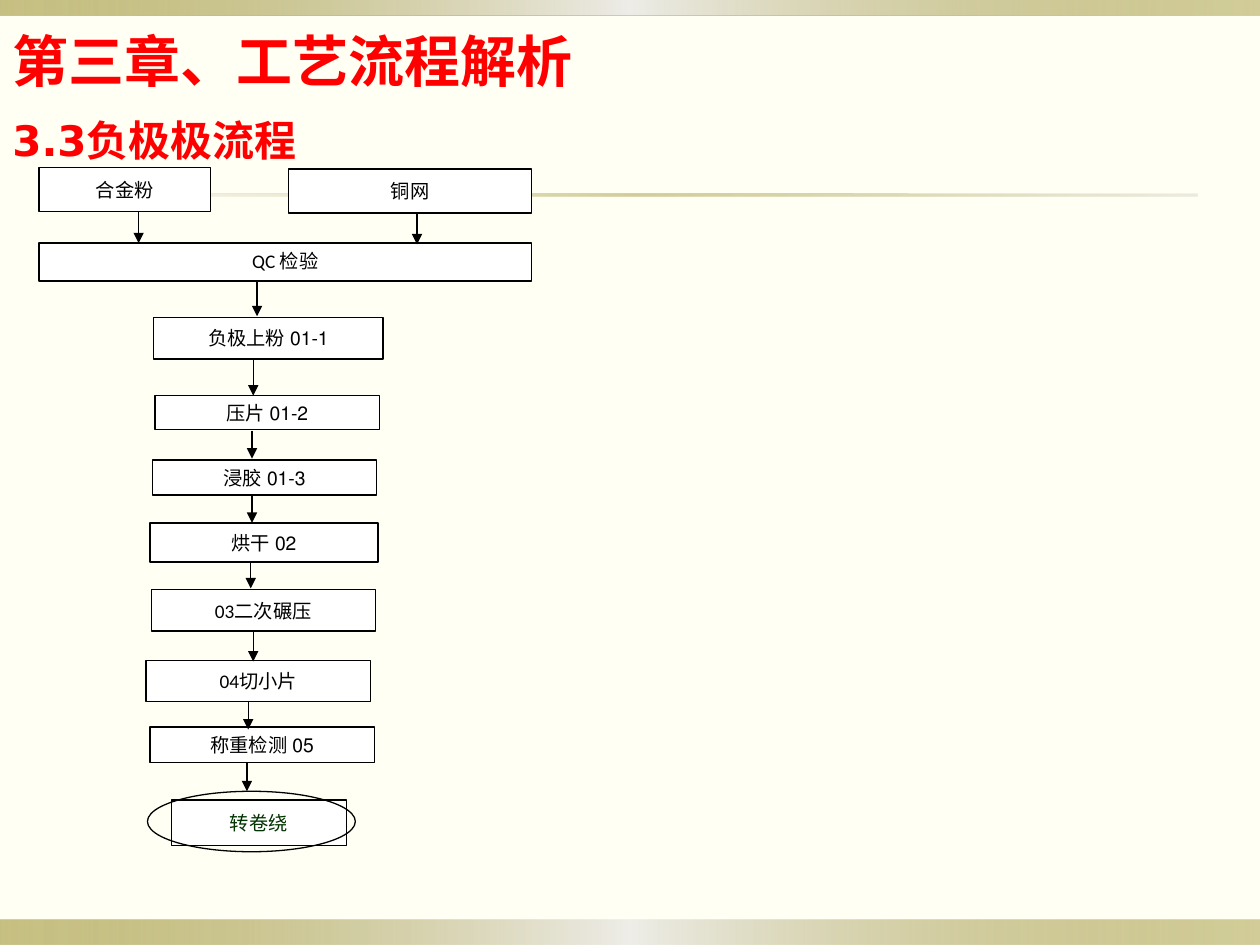
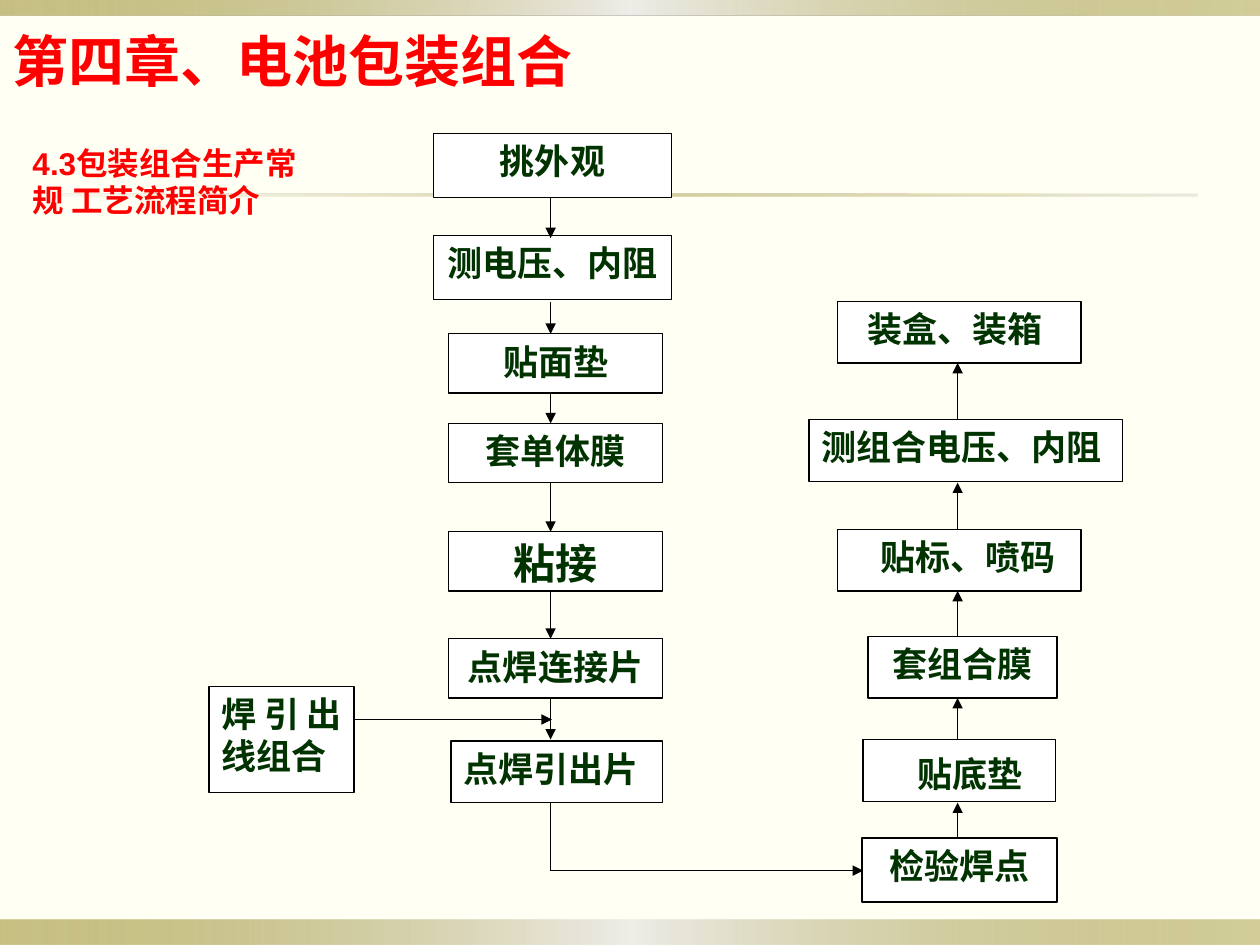
from lxml import etree
from pptx import Presentation
from pptx import util as u
from pptx.dml.color import RGBColor
from pptx.enum import shapes, text
from pptx.oxml import ns

INK = {
    "paper": "FFFFF4", "white": "FFFFFF", "black": "000000", "red": "FF0000",
    "green": "003300", "gold": "918415", "mist": "EEEDE8", "sand": "DCD9CC",
}
NOTO = "Noto Sans CJK SC"
MID = text.MSO_ANCHOR.MIDDLE
TOP = text.MSO_ANCHOR.TOP
LEFT, MIDST, JUST = (text.PP_ALIGN.LEFT, text.PP_ALIGN.CENTER,
                     text.PP_ALIGN.JUSTIFY)
RECT = shapes.MSO_SHAPE.RECTANGLE
OVAL = shapes.MSO_SHAPE.OVAL


def color(name):
    return RGBColor.from_string(INK[name])


def inches(*sizes):
    return [u.Inches(size) for size in sizes]


class Deck:
    def __init__(self):
        self.prs = Presentation()
        self.prs.slide_width, self.prs.slide_height = inches(10, 7.5)
        self.plan = self.prs.slide_layouts[5]
        fill = self.prs.slide_master.background.fill
        fill.solid()
        fill.fore_color.rgb = color("paper")
        self.page = None

    def start(self, title):
        self.page = self.prs.slides.add_slide(self.plan)
        head = self.page.shapes.title
        head.left, head.top, head.width, head.height = inches(0, 0.16, 5.55, 0.67)
        self.label(head, [(title, "Cabin")], 32, "red", True, LEFT)

    def band(self, place, stops):
        shape = self.page.shapes.add_shape(RECT, *inches(*place))
        shape.shadow.inherit = False
        shape.line.fill.background()
        props = shape.element.spPr
        grad = etree.Element(ns.qn("a:gradFill"))
        group = etree.SubElement(grad, ns.qn("a:gsLst"))
        for spot, name, alpha in stops:
            stop = etree.SubElement(group, ns.qn("a:gs"), pos=str(spot * 1000))
            tint = etree.SubElement(stop, ns.qn("a:srgbClr"), val=INK[name])
            etree.SubElement(tint, ns.qn("a:alpha"), val=str(alpha * 1000))
        etree.SubElement(grad, ns.qn("a:lin"), ang="0", scaled="0")
        props.find(ns.qn("a:prstGeom")).addnext(grad)
        self.plan.element.cSld.spTree.insert(2, shape.element)

    def label(self, shape, runs, size, ink, bold=False, align=MIDST,
              anchor=TOP, rtl=False):
        frame = shape.text_frame
        frame.word_wrap = True
        frame.auto_size = text.MSO_AUTO_SIZE.NONE
        frame.vertical_anchor = anchor
        para = frame.paragraphs[0]
        para.alignment = align
        if rtl:
            para._p.get_or_add_pPr().set("rtl", "1")
        for words, face in runs:
            run = para.add_run()
            run.text = words
            run.font.name = face
            run.font.size = u.Pt(size)
            run.font.bold = bold
            run.font.color.rgb = color(ink)

    def note(self, place, runs, size):
        box = self.page.shapes.add_textbox(*inches(*place))
        self.label(box, runs, size, "red", True, LEFT)

    def shape(self, kind, place, fill=None):
        shape = self.page.shapes.add_shape(kind, *inches(*place))
        shape.shadow.inherit = False
        if fill:
            shape.fill.solid()
            shape.fill.fore_color.rgb = color(fill)
        else:
            shape.fill.background()
        shape.line.color.rgb = color("black")
        shape.line.width = u.Pt(0.75)
        return shape

    def box(self, place, runs, size, ink, shift=0, drop=0, **style):
        shape = self.shape(RECT, place, "white")
        self.label(shape, runs, size, ink, **style)
        frame = shape.text_frame
        frame.margin_left = u.Inches(0.1 + max(shift, 0))
        frame.margin_right = u.Inches(0.1 + max(-shift, 0))
        frame.margin_top = u.Inches(0.05 + drop)

    def line(self, x1, y1, x2, y2, arrow=True):
        link = self.page.shapes.add_connector(
            shapes.MSO_CONNECTOR.STRAIGHT, *inches(x1, y1, x2, y2))
        link.line.color.rgb = color("black")
        link.line.width = u.Pt(0.75)
        if arrow:
            stroke = link.element.spPr.find(ns.qn("a:ln"))
            etree.SubElement(stroke, ns.qn("a:tailEnd"), type="triangle")
        etree.SubElement(link.element.spPr, ns.qn("a:effectLst"))


def dress(deck):
    edge = [(0, "gold", 50), (50, "mist", 100), (100, "gold", 40)]
    rule = [(0, "sand", 20), (50, "gold", 40), (100, "sand", 50)]
    deck.band((0, 7.3, 10, 0.2), edge)
    deck.band((0, 0, 10, 0.12), edge)
    deck.band((0.5, 1.54, 9, 0.02), rule)


def anode(deck):
    deck.note((0, 0.86, 6.33, 0.67), [("3.3负极极流程", "DejaVu Sans")], 24)
    steps = [
        ((0.31, 1.33, 1.36, 0.35), "", "合金粉", MID),
        ((2.29, 1.34, 1.93, 0.35), "", "铜网", MID),
        ((0.31, 1.93, 3.91, 0.3), "QC ", "检验", TOP),
        ((1.22, 2.52, 1.82, 0.33), "01-1 ", "负极上粉", MID),
        ((1.23, 3.14, 1.78, 0.27), "01-2 ", "压片", MID),
        ((1.21, 3.65, 1.78, 0.28), "01-3 ", "浸胶", MID),
        ((1.19, 4.15, 1.81, 0.31), "02 ", "烘干", MID),
        ((1.2, 4.68, 1.78, 0.33), "03", "二次碾压", MID),
        ((1.16, 5.24, 1.78, 0.33), "04", "切小片", MID),
        ((1.19, 5.77, 1.78, 0.28), "05 ", "称重检测", MID),
    ]
    for place, code, name, anchor in steps:
        runs = [(code, "Calibri")] if code else []
        deck.box(place, runs + [(name, NOTO)], 11, "black",
                 anchor=anchor, rtl=True)
    deck.box((1.36, 6.35, 1.39, 0.36), [("转卷绕", "Cabin")], 11, "green",
             anchor=MID)
    deck.shape(OVAL, (1.17, 6.28, 1.65, 0.48))
    for x, top, end in [
        (1.1, 1.68, 1.93), (3.31, 1.69, 1.94), (2.04, 2.23, 2.51),
        (2.01, 2.85, 3.14), (2, 3.42, 3.64), (2, 3.92, 4.15),
        (1.99, 4.46, 4.67), (2.01, 5.02, 5.25), (1.97, 5.56, 5.79),
        (1.96, 6.05, 6.28),
    ]:
        deck.line(x, top, x, end)


def pack(deck):
    deck.note((0.16, 1.09, 2.34, 0.67),
              [("4.3包装组合生产常规 工艺流程简介", "Arial")], 18)
    roman = "Times New Roman"
    steps = [
        ((3.44, 1.06, 1.89, 0.51), "挑外观", "Arial", {}),
        ((3.44, 1.87, 1.89, 0.51), "测电压、内阻", "Arial", {}),
        ((3.56, 2.65, 1.7, 0.47), "贴面垫", "Arial", {}),
        ((3.56, 3.36, 1.7, 0.47), "套单体膜", "Arial", {}),
        ((3.56, 4.22, 1.7, 0.47), "粘接", "Arial", {"size": 24}),
        ((3.56, 5.07, 1.7, 0.47), "点焊连接片", roman, {}),
        ((3.58, 5.88, 1.68, 0.49), "点焊引出片", roman, {"align": JUST}),
        ((1.66, 5.45, 1.15, 0.84), "焊引出线组合", "Arial", {"align": JUST}),
        ((6.84, 6.65, 1.55, 0.51), "检验焊点", roman, {}),
        ((6.85, 5.87, 1.53, 0.49), "贴底垫", roman,
         {"shift": 0.16, "drop": 0.05}),
        ((6.89, 5.05, 1.5, 0.49), "套组合膜", roman, {}),
        ((6.65, 4.2, 1.93, 0.49), "贴标、喷码", roman, {"shift": 0.14}),
        ((6.42, 3.33, 2.49, 0.49), "测组合电压、内阻", "Arial",
         {"align": JUST}),
        ((6.65, 2.39, 1.93, 0.49), "装盒、装箱", "Arial", {"shift": -0.07}),
    ]
    for place, name, face, style in steps:
        deck.box(place, [(name, face)], ink="green", bold=True,
                 **{"size": 20, **style})
    down, rise = 4.37, 7.6
    for top, end in [(1.56, 1.89), (2.4, 2.65), (3.12, 3.36), (3.83, 4.22),
                     (4.69, 5.07), (5.54, 5.87)]:
        deck.line(down, top, down, end)
    for low, end in [(6.65, 6.37), (5.87, 5.54), (5.05, 4.69), (4.2, 3.83),
                     (3.33, 2.88)]:
        deck.line(rise, low, rise, end)
    deck.line(2.81, 5.71, 4.38, 5.71)
    deck.line(down, 6.37, down, 6.91, arrow=False)
    deck.line(down, 6.91, 6.85, 6.91)


def main():
    deck = Deck()
    deck.start("第三章、工艺流程解析")
    dress(deck)
    anode(deck)
    deck.start("第四章、电池包装组合")
    pack(deck)
    deck.prs.save("out.pptx")


if __name__ == "__main__":
    main()
